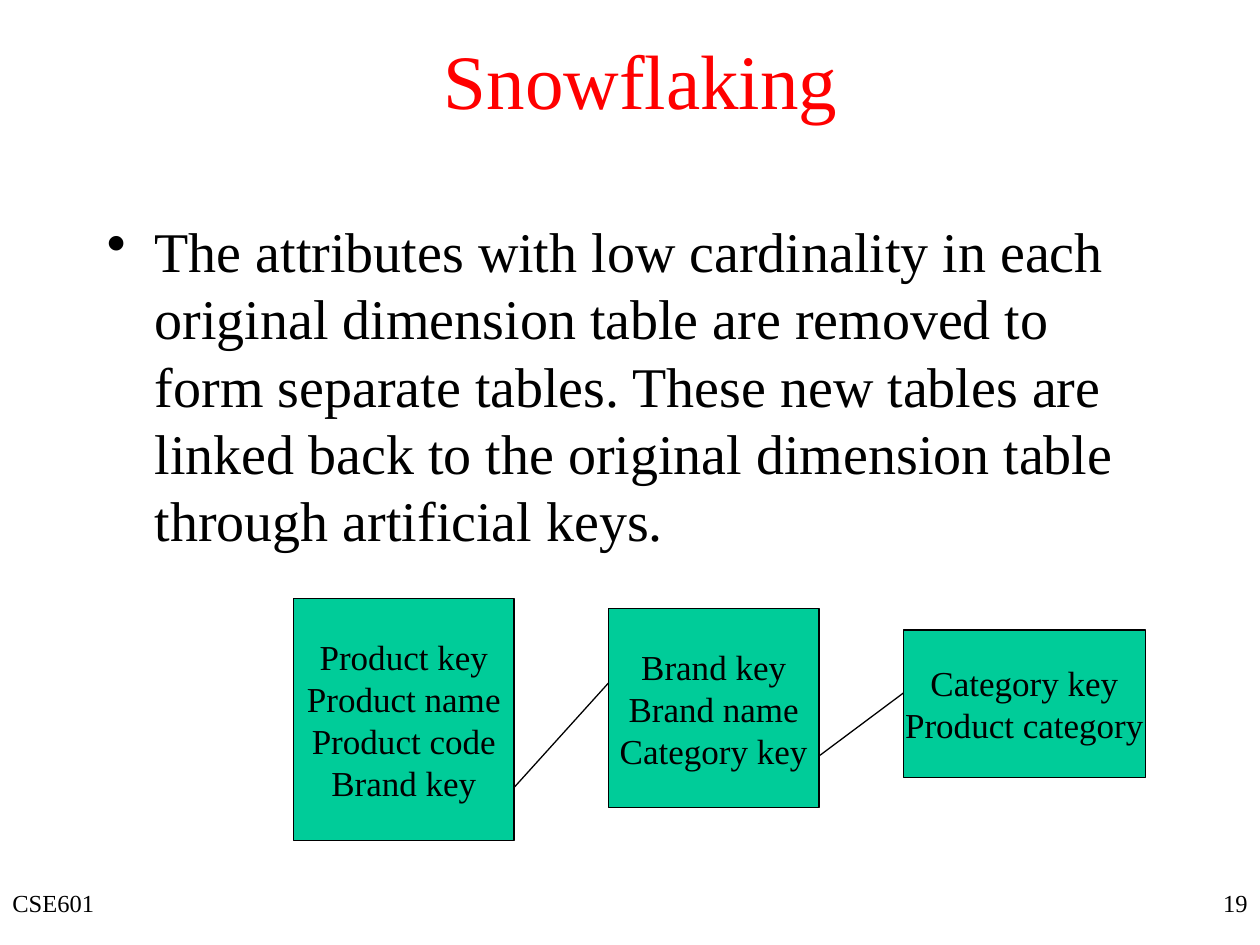
from dataclasses import dataclass

from lxml import etree
from pptx import Presentation
from pptx import util as u
from pptx.dml.color import RGBColor
from pptx.enum import shapes, text
from pptx.oxml.ns import qn

FONT = "Times New Roman"
COLORS = {"text": "000000", "title": "FF0000", "table": "00CC99", "line": "000000"}
LINE_WIDTH = u.Pt(0.75)
ALIGN = text.PP_ALIGN
ANCHOR = text.MSO_ANCHOR


@dataclass
class DimensionTable:
    left: float
    top: float
    width: float
    height: float
    fields: list[str]


@dataclass
class KeyLink:
    start: tuple[float, float]
    end: tuple[float, float]


TABLES = [
    DimensionTable(2.33, 4.75, 1.75, 1.92,
                   ["Product key", "Product name", "Product code", "Brand key"]),
    DimensionTable(4.83, 4.83, 1.67, 1.58, ["Brand key", "Brand name", "Category key"]),
    DimensionTable(7.17, 5, 1.92, 1.17, ["Category key", "Product category"]),
]
LINKS = [KeyLink((4.08, 6.25), (4.83, 5.42)), KeyLink((6.5, 6), (7.17, 5.5))]


def rgb(name: str) -> RGBColor:
    return RGBColor.from_string(COLORS[name])


def write(sp, lines: list[str], *, size: float, color: str = "text", align=ALIGN.LEFT,
          anchor=ANCHOR.TOP, wrap: bool = True):
    """Fill a shape with one paragraph per line and return its text frame."""
    tf = sp.text_frame
    tf.word_wrap = wrap
    tf.vertical_anchor = anchor
    for i, line in enumerate(lines):
        p = tf.paragraphs[0] if i == 0 else tf.add_paragraph()
        p.alignment = align
        r = p.add_run()
        r.text = line
        r.font.name = FONT
        r.font.size = u.Pt(size)
        r.font.color.rgb = rgb(color)
    return tf


def add_text(s, left: float, top: float, width: float, height: float, line: str, **fmt):
    sp = s.shapes.add_textbox(*map(u.Inches, (left, top, width, height)))
    return write(sp, [line], **fmt)


def add_bullet(p, indent: float) -> None:
    pPr = p._p.get_or_add_pPr()
    pPr.set("marL", str(u.Inches(indent)))
    pPr.set("indent", str(-u.Inches(indent)))
    etree.SubElement(pPr, qn("a:buChar")).set("char", "•")


def add_table_box(s, t: DimensionTable) -> None:
    sp = s.shapes.add_shape(shapes.MSO_SHAPE.RECTANGLE,
                            *map(u.Inches, (t.left, t.top, t.width, t.height)))
    sp.shadow.inherit = False
    sp.fill.solid()
    sp.fill.fore_color.rgb = rgb("table")
    sp.line.color.rgb = rgb("line")
    sp.line.width = LINE_WIDTH
    write(sp, t.fields, size=20, align=ALIGN.CENTER, anchor=ANCHOR.MIDDLE, wrap=False)


def add_link(s, link: KeyLink) -> None:
    ln = s.shapes.add_connector(shapes.MSO_CONNECTOR.STRAIGHT,
                                *map(u.Inches, link.start + link.end))
    ln.line.color.rgb = rgb("line")
    ln.line.width = LINE_WIDTH
    etree.SubElement(ln._element.spPr, qn("a:effectLst"))


def main() -> None:
    prs = Presentation()
    prs.slide_width, prs.slide_height = u.Inches(10), u.Inches(7.5)
    s = prs.slides.add_slide(prs.slide_layouts[6])

    add_text(s, 0, 7, 3.17, 0.5, "CSE601", size=14)
    add_text(s, 7.92, 7, 2.08, 0.5, "19", size=14, align=ALIGN.RIGHT)
    add_text(s, 0.42, 0, 9.33, 1.25, "Snowflaking", size=44, color="title",
             align=ALIGN.CENTER, anchor=ANCHOR.MIDDLE)
    body = add_text(
        s, 0.75, 1.67, 8.5, 4.92,
        "The attributes with low cardinality in each original dimension table are "
        "removed to form separate tables. These new tables are linked back to the "
        "original dimension table through artificial keys.", size=32)
    p = body.paragraphs[0]
    p.space_before = u.Pt(8)
    add_bullet(p, 0.38)

    for t in TABLES:
        add_table_box(s, t)
    for link in LINKS:
        add_link(s, link)

    prs.save("out.pptx")


if __name__ == "__main__":
    main()
